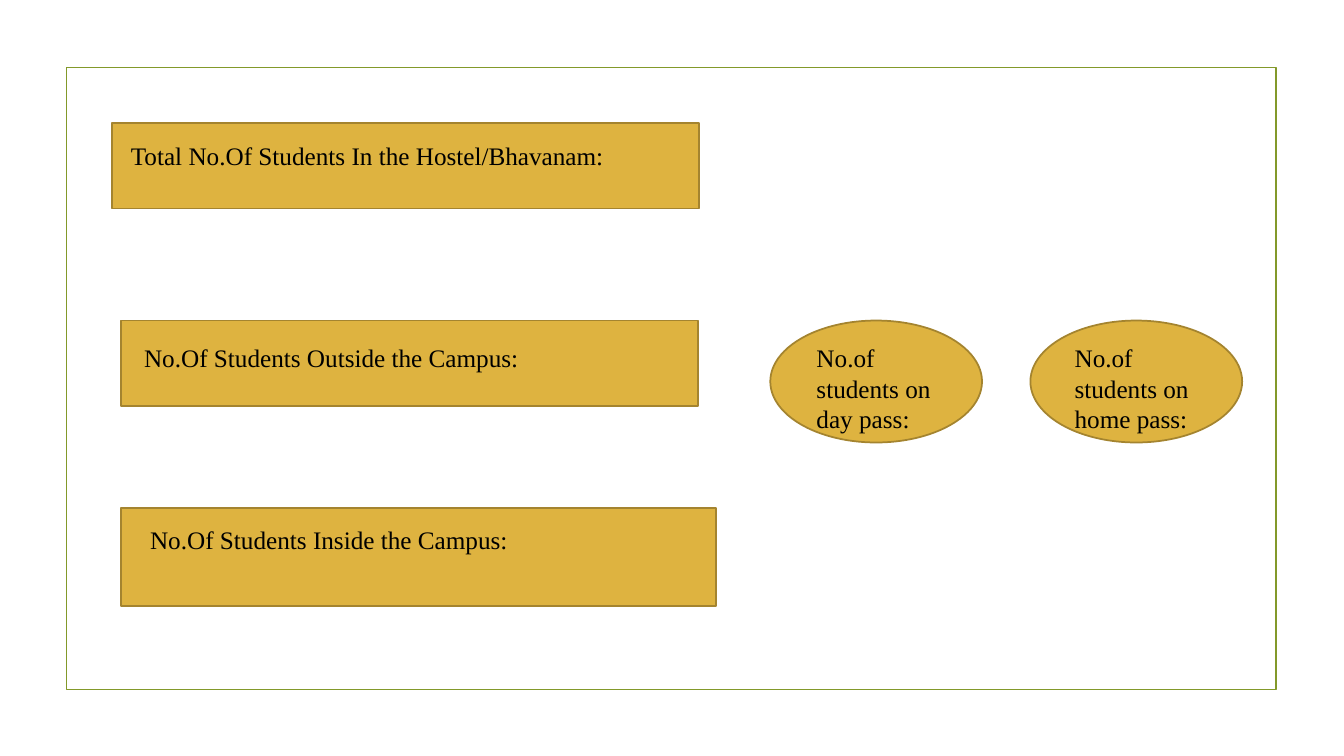
"""Build the slide that counts hostel students on and off the campus."""
from pptx import Presentation
from pptx import util as u
from pptx.dml.color import RGBColor
from pptx.enum import shapes

RECTANGLE = shapes.MSO_SHAPE.RECTANGLE
OVAL = shapes.MSO_SHAPE.OVAL
GOLD, BRONZE, OLIVE, BLACK = "DEB340", "A4842F", "83992A", "000000"

deck = Presentation()
deck.slide_width, deck.slide_height = u.Inches(13.33), u.Inches(7.5)
page = deck.slides.add_slide(deck.slide_layouts[6])


def color(value):
    return RGBColor.from_string(value)


def add_outlined(kind, bounds, line, fill=None):
    shape = page.shapes.add_shape(kind, *map(u.Inches, bounds))
    shape.shadow.inherit = False
    if fill:
        shape.fill.solid()
        shape.fill.fore_color.rgb = color(fill)
    else:
        shape.fill.background()
    shape.line.color.rgb = color(line)
    shape.line.width = u.Pt(1.25)


add_outlined(RECTANGLE, (0.66, 0.67, 12, 6.17), OLIVE)

left, middle_row, oval_width, oval_pitch = 1.2, 3.18, 2.1, 2.58
day_left = 7.64
home_left = day_left + oval_pitch
label_top = middle_row + 0.17

counters = [
    (RECTANGLE, (1.11, 1.22, 5.82, 0.85),
     "Total No.Of Students In the Hostel/Bhavanam:", (left, 1.34, 5.63, 0.4)),
    (RECTANGLE, (left, middle_row, 5.72, 0.85),
     "No.Of Students Outside the Campus:", (1.33, label_top, 5.42, 0.4)),
    (RECTANGLE, (left, 5.04, 5.9, 0.97),
     "No.Of Students Inside the Campus:", (left + 0.19, 5.15, 5.53, 0.4)),
    (OVAL, (day_left, middle_row, oval_width, 1.21),
     "No.of students on day pass:", (day_left + 0.36, label_top, 1.44, 1.01)),
    (OVAL, (home_left, middle_row, oval_width, 1.21),
     "No.of students on home pass:", (home_left + 0.34, label_top, 1.44, 1.01)),
]

for kind, bounds, label, label_bounds in counters:
    add_outlined(kind, bounds, BRONZE, GOLD)
    box = page.shapes.add_textbox(*map(u.Inches, label_bounds))
    box.text_frame.word_wrap = True
    para = box.text_frame.paragraphs[0]
    para.text = label
    para.font.name = "Times New Roman"
    para.font.size = u.Pt(18)
    para.font.color.rgb = color(BLACK)

deck.save("out.pptx")
